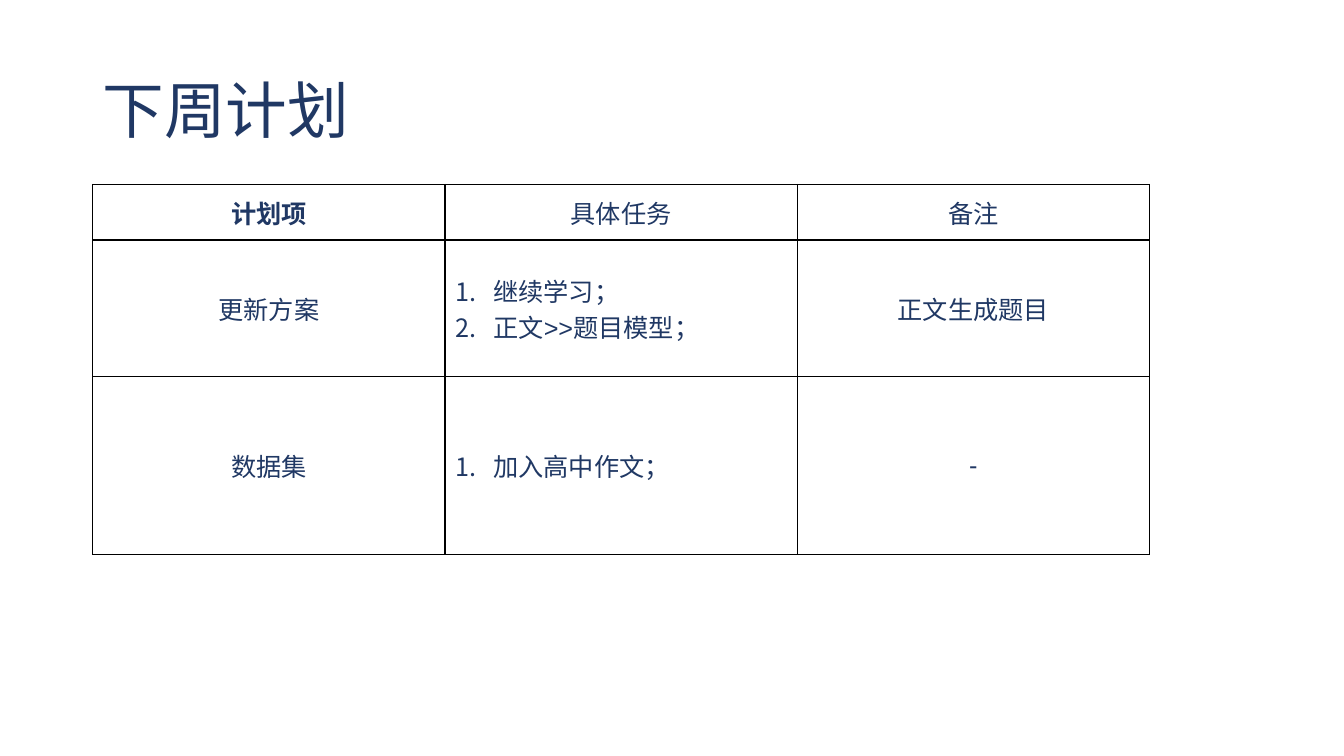
from dataclasses import dataclass

from lxml import etree
from pptx import Presentation
from pptx.dml.color import RGBColor
from pptx.enum.text import MSO_ANCHOR, PP_ALIGN
from pptx.oxml.ns import qn
from pptx.util import Emu, Inches, Pt

MIDDLE = MSO_ANCHOR.MIDDLE
LEFT, CENTER = PP_ALIGN.LEFT, PP_ALIGN.CENTER


@dataclass(frozen=True)
class Theme:
    ink: RGBColor = RGBColor(0x20, 0x38, 0x64)
    rule: str = "000000"
    title_font: str = "Times New Roman"
    body_font: str = "Arial"
    title_size: int = 44
    body_size: int = 18
    rule_width: int = 1
    list_indent: float = 0.38


THEME = Theme()
SLIDE_SIZE = Inches(13.33), Inches(7.5)
TITLE_BOX = 0.92, 0.4, 11.5, 1.45
PLAN_BOX = 0.92, 1.83, 10.48, 3.67
ROW_SHARES = 0.15, 0.37, 0.48

PLAN = [
    ["计划项", "具体任务", "备注"],
    ["更新方案", ["继续学习；", "正文>>题目模型；"], "正文生成题目"],
    ["数据集", ["加入高中作文；"], "-"],
]


def style(paragraph, font_name, size, bold=False):
    font = paragraph.font
    font.name = font_name
    font.size = Pt(size)
    font.bold = bold
    font.color.rgb = THEME.ink


def number(paragraph):
    indent = Inches(THEME.list_indent)
    properties = paragraph._p.get_or_add_pPr()
    properties.set("marL", str(indent))
    properties.set("indent", str(-indent))
    etree.SubElement(properties, qn("a:buFont"), typeface="+mj-lt")
    etree.SubElement(properties, qn("a:buAutoNum"), type="arabicPeriod")


def draw_borders(cell):
    properties = cell._tc.get_or_add_tcPr()
    for position, side in enumerate(("lnL", "lnR", "lnT", "lnB")):
        line = etree.Element(qn(f"a:{side}"), w=str(Pt(THEME.rule_width)))
        fill = etree.SubElement(line, qn("a:solidFill"))
        etree.SubElement(fill, qn("a:srgbClr"), val=THEME.rule)
        properties.insert(position, line)


def fill_cell(cell, content, bold):
    numbered = isinstance(content, list)
    cell.text = "\n".join(content) if numbered else content
    cell.vertical_anchor = MIDDLE
    cell.fill.background()
    draw_borders(cell)
    for paragraph in cell.text_frame.paragraphs:
        paragraph.alignment = LEFT if numbered else CENTER
        if numbered:
            number(paragraph)
        style(paragraph, THEME.body_font, THEME.body_size, bold)


def add_title(slide, box, text):
    frame = slide.shapes.add_textbox(*map(Inches, box)).text_frame
    frame.word_wrap = True
    frame.vertical_anchor = MIDDLE
    heading = frame.paragraphs[0]
    heading.text = text
    heading.line_spacing = 0.9
    style(heading, THEME.title_font, THEME.title_size)


def add_plan(slide, box, rows):
    left, top, width, height = map(Inches, box)
    plan = slide.shapes.add_table(
        len(rows), len(rows[0]), left, top, width, height
    ).table
    plan.horz_banding = False
    plan.first_row = False
    for column in plan.columns:
        column.width = Emu(width // len(rows[0]))
    for row, share in zip(plan.rows, ROW_SHARES):
        row.height = Emu(round(height * share))
    for r, contents in enumerate(rows):
        for c, content in enumerate(contents):
            fill_cell(plan.cell(r, c), content, bold=r == c == 0)


def main():
    deck = Presentation()
    deck.slide_width, deck.slide_height = SLIDE_SIZE
    slide = deck.slides.add_slide(deck.slide_layouts[6])
    add_title(slide, TITLE_BOX, "下周计划")
    add_plan(slide, PLAN_BOX, PLAN)
    deck.save("out.pptx")


if __name__ == "__main__":
    main()
